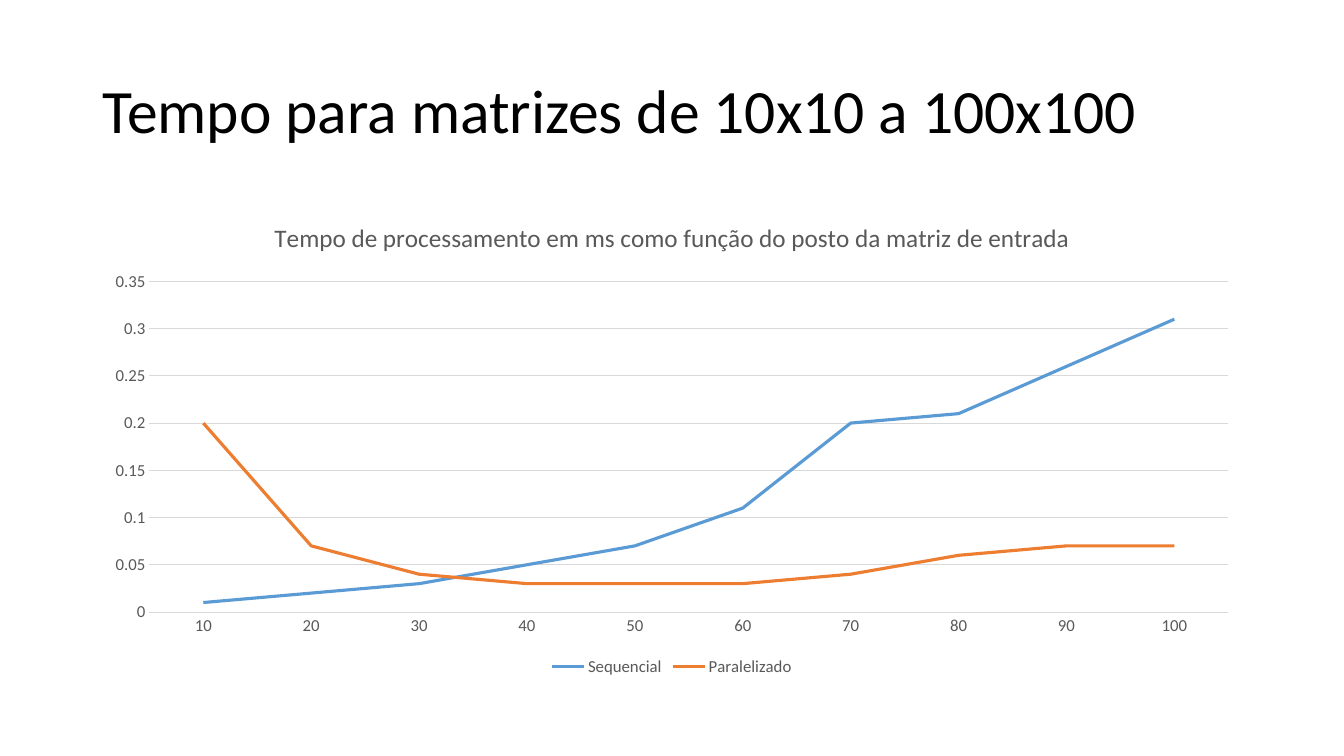
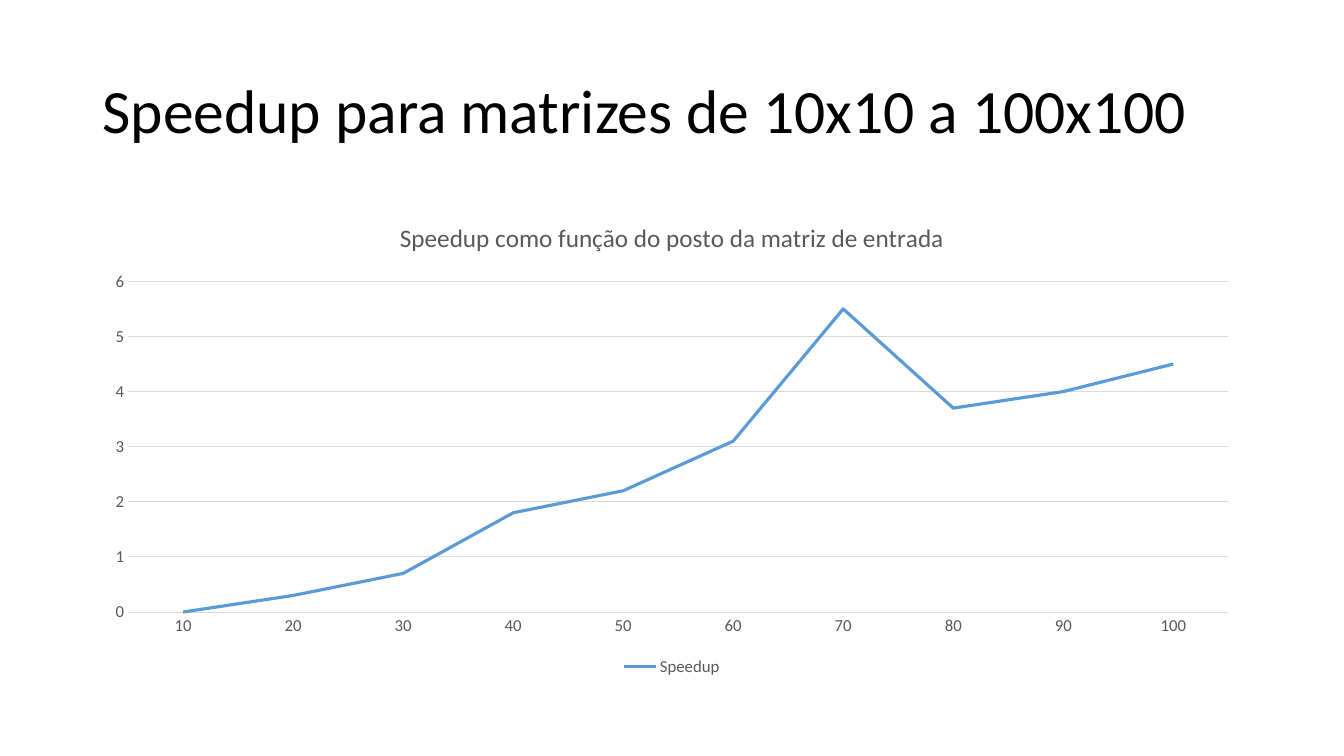
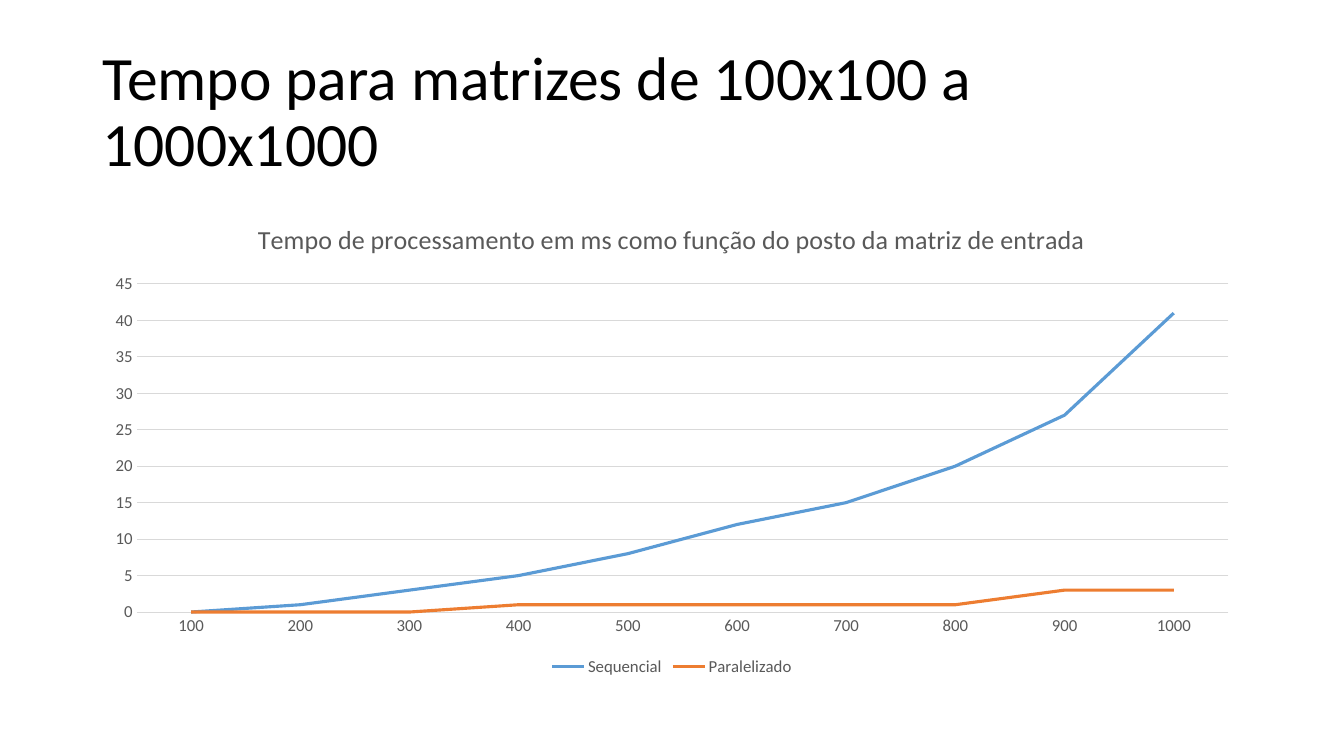
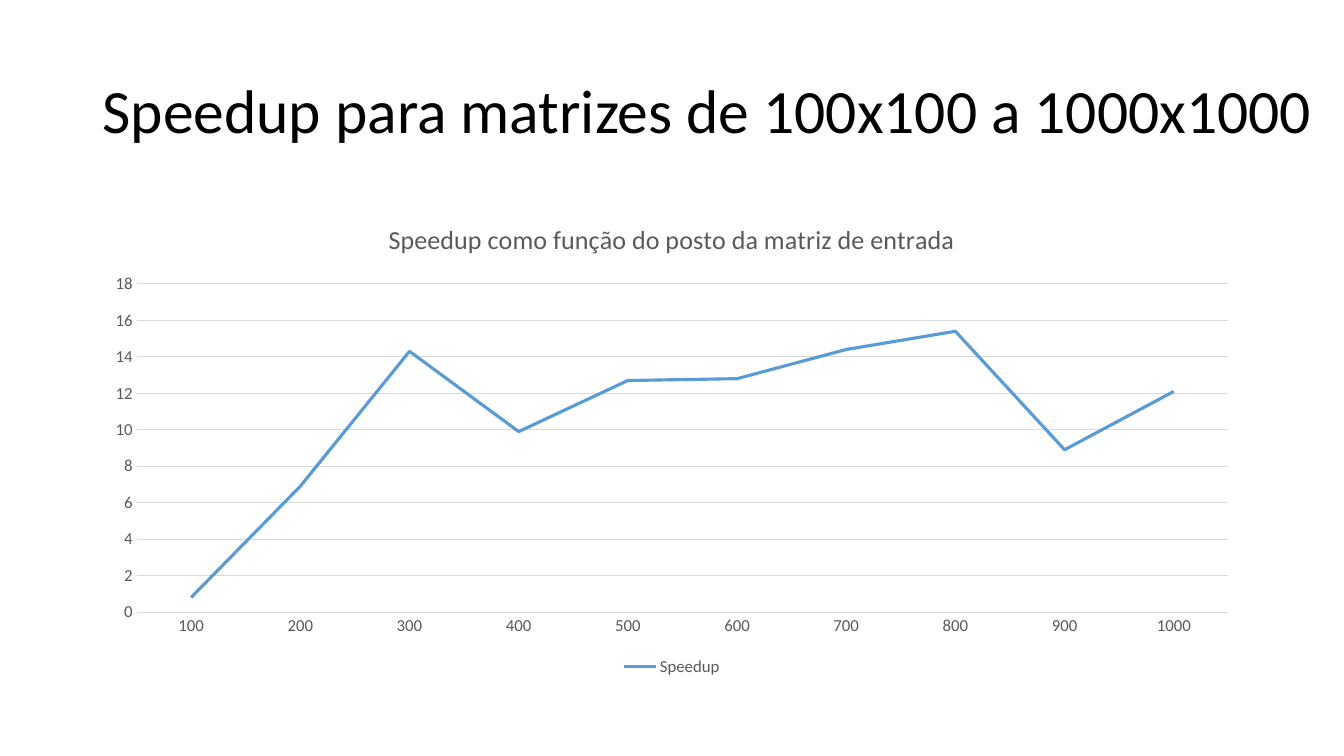
from dataclasses import dataclass

from pptx import Presentation
from pptx.chart.data import CategoryChartData
from pptx.dml.color import RGBColor
from pptx.enum.chart import XL_CHART_TYPE, XL_LEGEND_POSITION, XL_MARKER_STYLE, XL_TICK_MARK
from pptx.enum.text import MSO_ANCHOR, MSO_AUTO_SIZE, PP_ALIGN
from pptx.util import Pt

LINE = XL_CHART_TYPE.LINE
BOTTOM = XL_LEGEND_POSITION.BOTTOM
NO_MARKER = XL_MARKER_STYLE.NONE
NO_TICK = XL_TICK_MARK.NONE
MIDDLE = MSO_ANCHOR.MIDDLE
FIXED_SIZE = MSO_AUTO_SIZE.NONE
LEFT = PP_ALIGN.LEFT

# Content
TIME_HEADING = "Tempo de processamento em ms como função do posto da matriz de entrada"
SPEEDUP_HEADING = "Speedup como função do posto da matriz de entrada"
SMALL_RANKS = range(10, 101, 10)
LARGE_RANKS = range(100, 1001, 100)

SLIDES = [
    dict(
        title="Tempo para matrizes de 10x10 a 100x100", title_width=828,
        heading=TIME_HEADING, heading_size=18,
        ranks=SMALL_RANKS, top_value=0.35, step=0.05,
        series={
            "Sequencial": (0.01, 0.02, 0.03, 0.05, 0.07, 0.11, 0.2, 0.21, 0.26, 0.31),
            "Paralelizado": (0.2, 0.07, 0.04, 0.03, 0.03, 0.03, 0.04, 0.06, 0.07, 0.07),
        },
    ),
    dict(
        title="Speedup para matrizes de 10x10 a 100x100", title_width=828,
        heading=SPEEDUP_HEADING, heading_size=18,
        ranks=SMALL_RANKS, top_value=6, step=1,
        series={"Speedup": (0, 0.3, 0.7, 1.8, 2.2, 3.1, 5.5, 3.7, 4, 4.5)},
    ),
    dict(
        title="Tempo para matrizes de 100x100 a 1000x1000", title_width=837,
        heading=TIME_HEADING, heading_size=18.6,
        ranks=LARGE_RANKS, top_value=45, step=5,
        series={
            "Sequencial": (0, 1, 3, 5, 8, 12, 15, 20, 27, 41),
            "Paralelizado": (0, 0, 0, 1, 1, 1, 1, 1, 3, 3),
        },
    ),
    dict(
        title="Speedup para matrizes de 100x100 a 1000x1000", title_width=881,
        heading=SPEEDUP_HEADING, heading_size=18.6,
        ranks=LARGE_RANKS, top_value=18, step=2,
        series={"Speedup": (0.8, 6.9, 14.3, 9.9, 12.7, 12.8, 14.4, 15.4, 8.9, 12.1)},
    ),
]


# Theme and layout
@dataclass(frozen=True)
class Theme:
    font: str = "Calibri"
    black: RGBColor = RGBColor(0x00, 0x00, 0x00)
    gray: RGBColor = RGBColor(0x59, 0x59, 0x59)
    rule: RGBColor = RGBColor(0xD9, 0xD9, 0xD9)
    series: tuple = (RGBColor(0x5B, 0x9B, 0xD5), RGBColor(0xED, 0x7D, 0x31))
    title_size: float = 44
    label_size: float = 12
    rule_width: float = 0.75
    series_width: float = 2.25


THEME = Theme()
SLIDE_SIZE = (960, 540)
MARGIN = 66
TITLE_TOP, TITLE_HEIGHT = 28.75, 104.4
CHART_BOX = (MARGIN, 143.75, SLIDE_SIZE[0] - 2 * MARGIN, 342.6)


def set_font(font, size, color):
    font.name = THEME.font
    font.size = Pt(size)
    font.bold = False
    font.color.rgb = color


def set_line(line, color, width):
    line.color.rgb = color
    line.width = Pt(width)


def add_title(slide, text, width):
    title = slide.shapes.title
    title.left, title.top = Pt(MARGIN), Pt(TITLE_TOP)
    title.width, title.height = Pt(width), Pt(TITLE_HEIGHT)
    frame = title.text_frame
    frame.text = text
    frame.word_wrap = True
    frame.auto_size = FIXED_SIZE
    frame.vertical_anchor = MIDDLE
    paragraph = frame.paragraphs[0]
    paragraph.alignment = LEFT
    paragraph.line_spacing = 0.9
    set_font(paragraph.font, THEME.title_size, THEME.black)


def style_axes(chart, top_value, step):
    ranks, values = chart.category_axis, chart.value_axis
    for axis in (ranks, values):
        axis.major_tick_mark = axis.minor_tick_mark = NO_TICK
        set_font(axis.tick_labels.font, THEME.label_size, THEME.gray)
    set_line(ranks.format.line, THEME.rule, THEME.rule_width)
    values.format.line.fill.background()
    set_line(values.major_gridlines.format.line, THEME.rule, THEME.rule_width)
    values.minimum_scale, values.maximum_scale = 0, top_value
    values.major_unit = step


def add_line_chart(slide, content):
    data = CategoryChartData()
    data.categories = [str(rank) for rank in content["ranks"]]
    for name, values in content["series"].items():
        data.add_series(name, values)
    chart = slide.shapes.add_chart(LINE, *map(Pt, CHART_BOX), data).chart
    chart.font.name = THEME.font

    # Heading and legend
    heading = chart.chart_title.text_frame
    heading.text = content["heading"]
    set_font(heading.paragraphs[0].font, content["heading_size"], THEME.gray)
    chart.has_legend = True
    chart.legend.position = BOTTOM
    chart.legend.include_in_layout = False
    set_font(chart.legend.font, THEME.label_size, THEME.gray)

    # Axes and series
    style_axes(chart, content["top_value"], content["step"])
    chart.plots[0].vary_by_categories = False
    for series, color in zip(chart.plots[0].series, THEME.series):
        series.smooth = False
        series.marker.style = NO_MARKER
        set_line(series.format.line, color, THEME.series_width)


# Build the slides
deck = Presentation()
deck.slide_width, deck.slide_height = map(Pt, SLIDE_SIZE)
title_only = deck.slide_layouts[5]
for content in SLIDES:
    slide = deck.slides.add_slide(title_only)
    add_title(slide, content["title"], content["title_width"])
    add_line_chart(slide, content)
deck.save("out.pptx")
